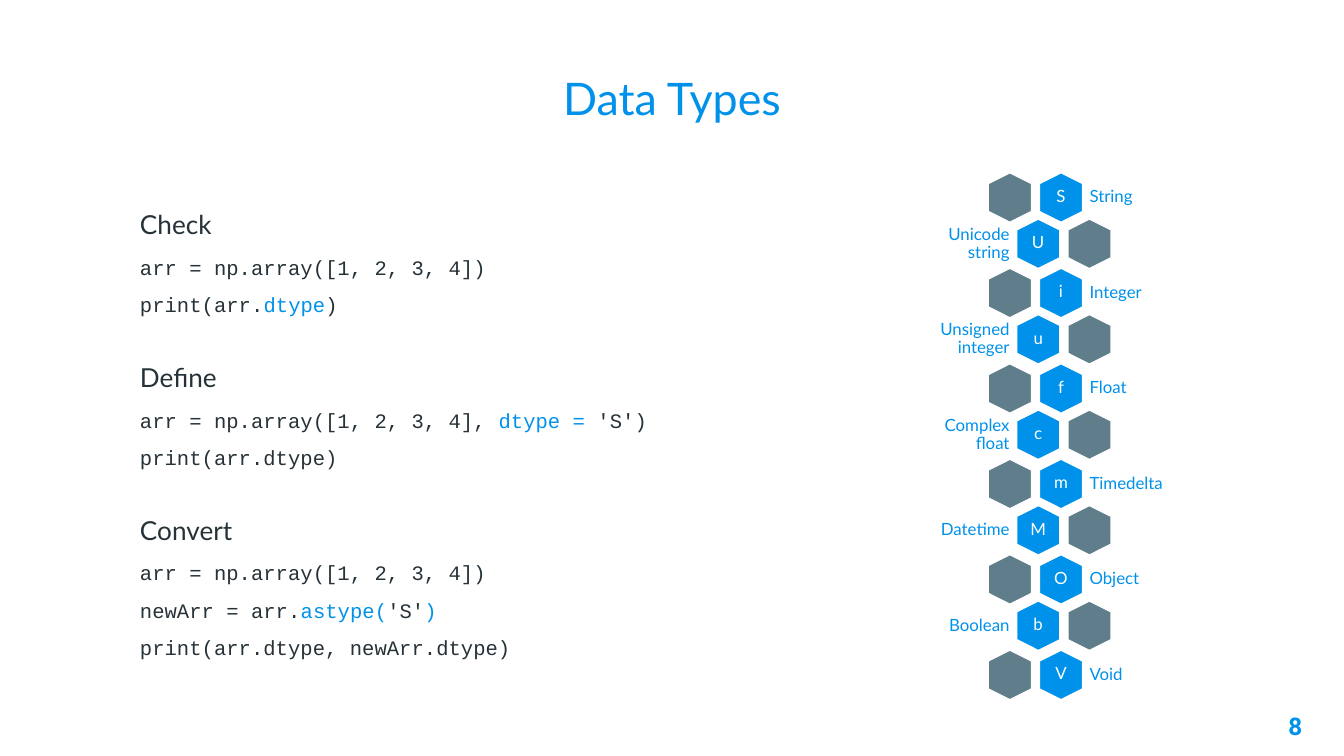
from dataclasses import dataclass

from pptx import Presentation
from pptx.dml.color import RGBColor
from pptx.enum.shapes import MSO_SHAPE
from pptx.enum.text import MSO_ANCHOR, PP_ALIGN
from pptx.shapes.group import GroupShape
from pptx.slide import Slide
from pptx.text.text import TextFrame, _Paragraph, _Run
from pptx.util import Pt

HEXAGON = MSO_SHAPE.HEXAGON
TOP, MIDDLE = MSO_ANCHOR.TOP, MSO_ANCHOR.MIDDLE
LEFT, CENTER, RIGHT = PP_ALIGN.LEFT, PP_ALIGN.CENTER, PP_ALIGN.RIGHT
JUSTIFY = PP_ALIGN.JUSTIFY
TITLE_ONLY = 5


@dataclass(frozen=True)
class Theme:
    blue: RGBColor = RGBColor(0x00, 0x91, 0xEA)
    slate: RGBColor = RGBColor(0x60, 0x7D, 0x8B)
    ink: RGBColor = RGBColor(0x26, 0x32, 0x38)
    white: RGBColor = RGBColor(0xFF, 0xFF, 0xFF)
    body_font: str = "Lato"
    code_font: str = "Courier New"
    number_font: str = "Roboto"
    title_size: float = 24
    heading_size: float = 14
    number_size: float = 13
    code_size: float = 11
    label_size: float = 9


@dataclass(frozen=True)
class Span:
    text: str
    highlighted: bool = False


@dataclass(frozen=True)
class Example:
    heading: str
    lines: tuple[tuple[Span, ...], ...]


@dataclass(frozen=True)
class DataType:
    symbol: str
    label: str


@dataclass(frozen=True)
class Side:
    """Positions for rows whose label stands on one side of the hexagons."""
    type_left: float
    blank_left: float
    label_left: float
    label_width: float
    align: PP_ALIGN


THEME = Theme()
CREATE_ARRAY = (Span("arr = np.array([1, 2, 3, 4])"),)
EXAMPLES = (
    Example("Check", (
        CREATE_ARRAY,
        (Span("print(arr."), Span("dtype", True), Span(")")),
    )),
    Example("Define", (
        (Span("arr = np.array([1, 2, 3, 4], "), Span("dtype =", True), Span(" 'S')")),
        (Span("print(arr.dtype)"),),
    )),
    Example("Convert", (
        CREATE_ARRAY,
        (Span("newArr = arr."), Span("astype(", True), Span("'S'"), Span(")", True)),
        (Span("print(arr.dtype, newArr.dtype)"),),
    )),
)
DATA_TYPES = (
    DataType("S", "String"),
    DataType("U", "Unicode string"),
    DataType("i", "Integer"),
    DataType("u", "Unsigned integer"),
    DataType("f", "Float"),
    DataType("c", "Complex float"),
    DataType("m", "Timedelta"),
    DataType("M", "Datetime"),
    DataType("O", "Object"),
    DataType("b", "Boolean"),
    DataType("V", "Void"),
)

RIGHT_SIDE = Side(554.4, 527, 581, 49, LEFT)
LEFT_SIDE = Side(542.2, 569.6, 496, 47.5, RIGHT)
HEX_WIDTH, HEX_HEIGHT = 28, 24.5
FIRST_ROW_TOP, PAIR_PITCH, SECOND_ROW_DROP = 93.6, 51.15, 24.8

HEADING_GAP, FIRST_LINE_GAP, LINE_GAP = 24.2, 7.7, 6.75


def style(span: _Run, font: str, size: float, color: RGBColor, bold: bool = False) -> None:
    span.font.name = font
    span.font.size = Pt(size)
    span.font.color.rgb = color
    span.font.bold = bold


def set_frame(frame: TextFrame, inset: float, anchor: MSO_ANCHOR) -> None:
    frame.word_wrap = True
    frame.vertical_anchor = anchor
    frame.margin_left = frame.margin_right = Pt(inset)
    frame.margin_top = frame.margin_bottom = Pt(inset)


def add_title(page: Slide, text: str) -> None:
    title = page.shapes.title
    title.left, title.top, title.width, title.height = Pt(62), Pt(24.5), Pt(596), Pt(55.5)
    frame = title.text_frame
    frame.text = text
    set_frame(frame, 7.2, MIDDLE)
    para = frame.paragraphs[0]
    para.alignment = CENTER
    style(para.runs[0], THEME.body_font, THEME.title_size, THEME.blue)


def fill_code_line(para: _Paragraph, spans: tuple[Span, ...]) -> None:
    for part in spans:
        span = para.add_run()
        span.text = part.text
        color = THEME.blue if part.highlighted else THEME.ink
        style(span, THEME.code_font, THEME.code_size, color)


def add_examples(page: Slide, examples: tuple[Example, ...]) -> None:
    box = page.shapes.add_textbox(Pt(62), Pt(89.6), Pt(596), Pt(286))
    frame = box.text_frame
    set_frame(frame, 7.2, MIDDLE)
    frame.margin_left = Pt(13)
    for index, example in enumerate(examples):
        heading = frame.add_paragraph() if index else frame.paragraphs[0]
        heading.text = example.heading
        heading.alignment = JUSTIFY
        heading.space_before = Pt(HEADING_GAP if index else 0)
        style(heading.runs[0], THEME.body_font, THEME.heading_size, THEME.ink)
        for number, spans in enumerate(example.lines):
            para = frame.add_paragraph()
            para.alignment = JUSTIFY
            para.space_before = Pt(LINE_GAP if number else FIRST_LINE_GAP)
            fill_code_line(para, spans)


def add_hexagon(group: GroupShape, left: float, top: float, color: RGBColor) -> None:
    hexagon = group.shapes.add_shape(HEXAGON, Pt(left), Pt(top), Pt(HEX_WIDTH), Pt(HEX_HEIGHT))
    hexagon.rotation = 90
    hexagon.adjustments[0] = 0.25
    hexagon.adjustments[1] = 1.15
    hexagon.shadow.inherit = False
    hexagon.fill.solid()
    hexagon.fill.fore_color.rgb = color
    hexagon.line.color.rgb = THEME.white
    hexagon.line.width = Pt(2)


def add_label(group: GroupShape, text: str, left: float, top: float, width: float,
              align: PP_ALIGN, color: RGBColor) -> None:
    box = group.shapes.add_textbox(Pt(left), Pt(top), Pt(width), Pt(19))
    frame = box.text_frame
    frame.text = text
    set_frame(frame, 2.7, MIDDLE)
    para = frame.paragraphs[0]
    para.alignment = align
    para.line_spacing = 0.9
    style(para.runs[0], THEME.body_font, THEME.label_size, color)


def add_data_type(page: Slide, row: int, data_type: DataType) -> None:
    pair, second = divmod(row, 2)
    side = LEFT_SIDE if second else RIGHT_SIDE
    top = FIRST_ROW_TOP + pair * PAIR_PITCH + second * SECOND_ROW_DROP
    group = page.shapes.add_group_shape()
    add_hexagon(group, side.type_left, top, THEME.blue)
    add_label(group, data_type.symbol, side.type_left + 5.75, top + 2.5, 16.5,
              CENTER, THEME.white)
    add_label(group, data_type.label, side.label_left, top + 2.7, side.label_width,
              side.align, THEME.blue)
    add_hexagon(group, side.blank_left, top, THEME.slate)


def add_page_number(page: Slide, number: int) -> None:
    box = page.shapes.add_textbox(Pt(661.7), Pt(373.7), Pt(43), Pt(31))
    frame = box.text_frame
    frame.text = str(number)
    set_frame(frame, 7.2, TOP)
    para = frame.paragraphs[0]
    para.alignment = RIGHT
    style(para.runs[0], THEME.number_font, THEME.number_size, THEME.blue, bold=True)


def main() -> None:
    deck = Presentation()
    deck.slide_width, deck.slide_height = Pt(720), Pt(405)
    page = deck.slides.add_slide(deck.slide_layouts[TITLE_ONLY])
    add_title(page, "Data Types")
    add_examples(page, EXAMPLES)
    add_page_number(page, 8)
    for row, data_type in enumerate(DATA_TYPES):
        add_data_type(page, row, data_type)
    deck.save("out.pptx")


if __name__ == "__main__":
    main()
